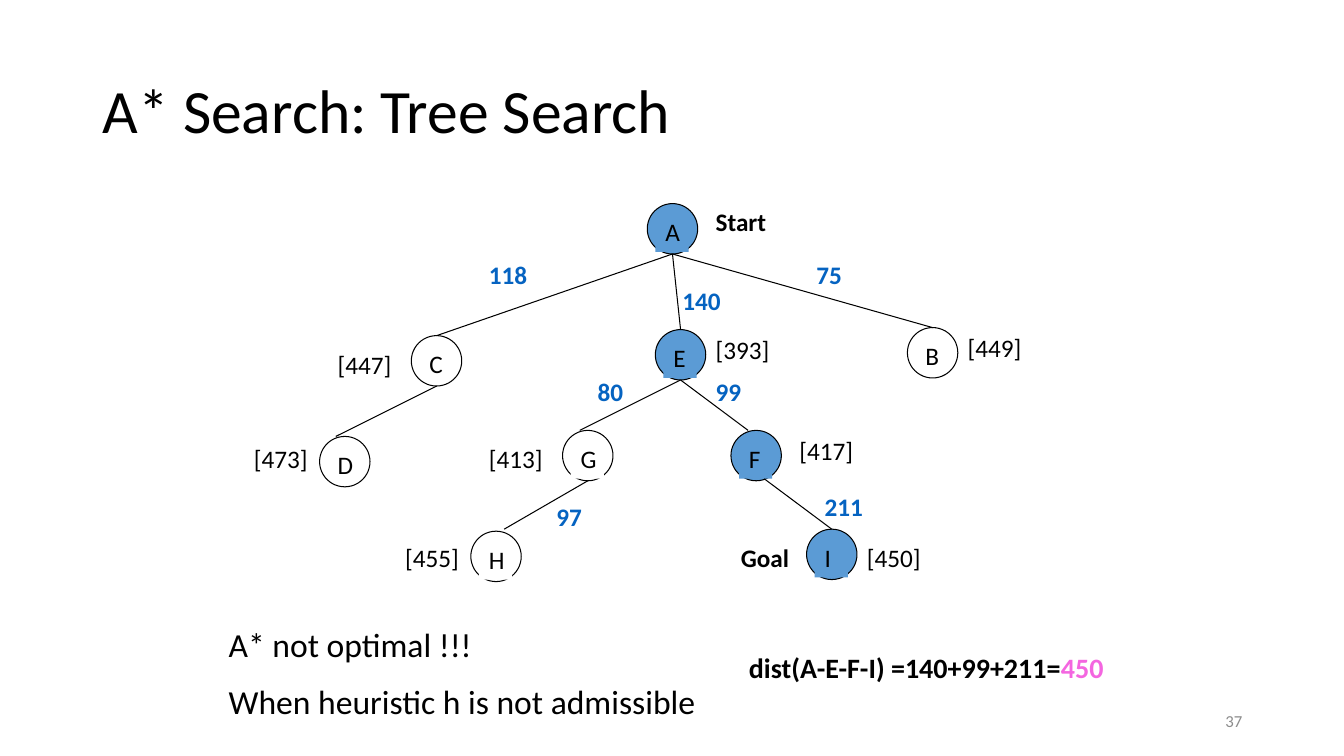
"""Build the A* tree search slide."""
import pptx
import pptx.util
import pptx.dml.color
import pptx.enum.shapes
import pptx.enum.text
from lxml import etree
from pptx.oxml.ns import qn

Inches, Pt = pptx.util.Inches, pptx.util.Pt
ALIGN, ANCHOR = pptx.enum.text.PP_ALIGN, pptx.enum.text.MSO_ANCHOR
COLORS = {"ink": "000000", "open": "5B9BD5", "white": "FFFFFF",
          "cost": "0563C1", "total": "F466E0", "page": "8C8C8C"}


def tint(name):
    return pptx.dml.color.RGBColor.from_string(COLORS[name])


def write(home, text, x, y, w, h=0.4, size=18, color="ink", bold=False):
    box = home.add_textbox(Inches(x), Inches(y), Inches(w), Inches(h))
    frame = box.text_frame
    frame.word_wrap = True
    frame.text = text
    for para in frame.paragraphs:
        para.font.name = "Calibri"
        para.font.size = Pt(size)
        para.font.bold = bold
        para.font.color.rgb = tint(color)
    return box


deck = pptx.Presentation()
deck.slide_width, deck.slide_height = Inches(13.33), Inches(7.5)
slide = deck.slides.add_slide(deck.slide_layouts[5])
shapes = slide.shapes

title = shapes.title
title.left, title.top = Inches(0.92), Inches(0.4)
title.width, title.height = Inches(11.5), Inches(1.45)
title.text_frame.text = "A* Search: Tree Search"
title.text_frame.auto_size = pptx.enum.text.MSO_AUTO_SIZE.NONE
title.text_frame.vertical_anchor = ANCHOR.MIDDLE
head = title.text_frame.paragraphs[0]
head.alignment = ALIGN.LEFT
head.line_spacing = 0.9
head.font.name = "Calibri"
head.font.size = Pt(44)
head.font.color.rgb = tint("ink")

nodes = [
    ("A", 6.42, 2.02, "open"), ("B", 9, 3.25, None), ("C", 4.08, 3.33, None),
    ("D", 3.17, 4.33, None), ("E", 6.5, 3.27, "open"), ("F", 7.25, 4.27, "open"),
    ("G", 5.58, 4.27, "white"), ("H", 4.67, 5.27, "white"), ("I", 8, 5.25, "open"),
]
for name, x, y, fill in nodes:
    group = shapes.add_group_shape()
    ring = group.shapes.add_shape(pptx.enum.shapes.MSO_SHAPE.OVAL,
                                  Inches(x), Inches(y), Inches(0.5), Inches(0.5))
    ring.shadow.inherit = False
    ring.line.color.rgb = tint("ink")
    ring.line.width = Pt(0.75)
    label = write(group.shapes, name, x + 0.08, y + 0.08, 0.33)
    for part in (ring, label):
        if fill:
            part.fill.solid()
            part.fill.fore_color.rgb = tint(fill)
        else:
            part.fill.background()

edges = [
    (6.67, 2.52, 9.25, 3.25), (6.67, 2.52, 6.75, 3.27), (6.67, 2.52, 4.33, 3.33),
    (4.33, 3.83, 3.33, 4.33), (6.75, 3.77, 5.75, 4.27), (6.75, 3.77, 7.42, 4.27),
    (5.83, 4.77, 5, 5.25), (7.58, 4.75, 8.25, 5.25),
]
for edge in edges:
    line = shapes.add_connector(pptx.enum.shapes.MSO_CONNECTOR.STRAIGHT,
                                *[Inches(n) for n in edge])
    line.line.color.rgb = tint("ink")
    line.line.width = Pt(0.75)
    etree.SubElement(line._element.spPr, qn("a:effectLst"))

costs = [
    ("118", 4.75, 2.52), ("140", 6.67, 2.78), ("75", 8, 2.52), ("80", 5.83, 3.68),
    ("99", 7, 3.68), ("97", 5.42, 4.92), ("211", 8.08, 4.83),
]
for text, x, y in costs:
    write(shapes, text, x, y, 0.83, color="cost", bold=True)

scores = [
    (393, 7, 3.27), (449, 9.5, 3.25), (447, 3.25, 3.42), (417, 7.83, 4.27),
    (413, 4.75, 4.35), (473, 2.42, 4.35), (455, 3.92, 5.33), (450, 8.5, 5.33),
]
for score, x, y in scores:
    write(shapes, f"[{score}]", x, y, 0.83)

for text, x, y in [("Start", 7, 2), ("Goal", 7.25, 5.33)]:
    write(shapes, text, x, y, 1.33, bold=True)

note = write(shapes, "A* not optimal !!!\nWhen heuristic h is not admissible",
             2.17, 6.14, 7, 1.11, 24)
note.text_frame.paragraphs[1].space_before = Pt(12)

dist = write(shapes, "dist(A-E-F-I) =140+99+211=", 7.33, 6.4, 3.76, 0.44, 20, bold=True)
dist.text_frame.word_wrap = False
total = dist.text_frame.paragraphs[0].add_run()
total.text = "450"
total.font.color.rgb = tint("total")

page = write(shapes, "37", 9.42, 6.95, 3, 0.4, 12, "page")
page.text_frame.vertical_anchor = ANCHOR.MIDDLE
page.text_frame.paragraphs[0].alignment = ALIGN.RIGHT

deck.save("out.pptx")
